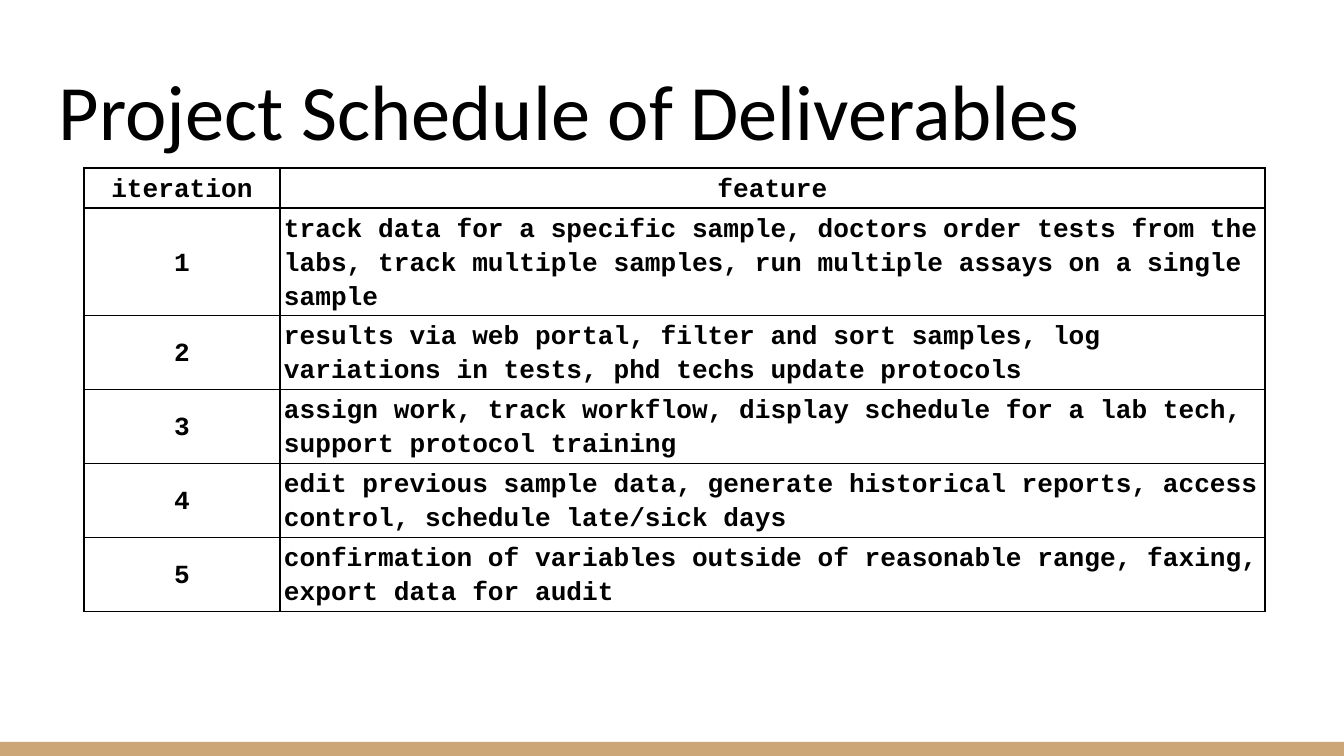
"""Build the project schedule slide with its table of iterations and features."""
from dataclasses import dataclass

from lxml import etree
from pptx import Presentation
from pptx.dml.color import RGBColor
from pptx.enum.shapes import MSO_SHAPE
from pptx.enum.text import MSO_ANCHOR, MSO_AUTO_SIZE, PP_ALIGN
from pptx.oxml.ns import qn
from pptx.util import Pt

RECTANGLE = MSO_SHAPE.RECTANGLE
MIDDLE, BOTTOM = MSO_ANCHOR.MIDDLE, MSO_ANCHOR.BOTTOM
LEFT, CENTER = PP_ALIGN.LEFT, PP_ALIGN.CENTER
NO_AUTOFIT = MSO_AUTO_SIZE.NONE

HEADING = "Project Schedule of Deliverables"
HEADERS = ("iteration", "feature")
FEATURES = [
    ("track data for a specific sample, doctors order tests from the labs, "
     "track multiple samples, run multiple assays on a single sample", 3),
    ("results via web portal, filter and sort samples, log variations in tests, "
     "phd techs update protocols", 2),
    ("assign work, track workflow, display schedule for a lab tech, "
     "support protocol training", 2),
    ("edit previous sample data, generate historical reports, access control, "
     "schedule late/sick days", 2),
    ("confirmation of variables outside of reasonable range, faxing, "
     "export data for audit", 2),
]

SLIDE_SIZE = (1344, 756)
HEADING_BOX = (46, 47, 1252, 122)
BAND_HEIGHT = 14
TABLE_CORNER = (84, 168)
COLUMN_WIDTHS = (196, 985)
LINE_HEIGHT, ROW_PADDING = 34, 5
HEADING_INSET = 13
CELL_MARGINS = {"margin_left": 4, "margin_right": 4, "margin_top": 3, "margin_bottom": 3}


@dataclass(frozen=True)
class Theme:
    ink: str = "000000"
    paper: str = "FFFFFF"
    band: str = "CCA677"
    heading_font: str = "Calibri"
    heading_size: int = 42
    table_font: str = "Courier New"
    table_size: int = 14
    line_spacing: float = 1.15
    border_width: float = 0.75


THEME = Theme()


def px(length):
    return round(length * 914400 / 134.4)


def set_attributes(target, values):
    for name, value in values.items():
        setattr(target, name, value)


def paint(fill, color):
    fill.solid()
    fill.fore_color.rgb = RGBColor.from_string(color)


def write(frame, text, alignment, font_values):
    paragraph = frame.paragraphs[0]
    paragraph.alignment = alignment
    run = paragraph.add_run()
    run.text = text
    set_attributes(run.font, font_values)
    run.font.color.rgb = RGBColor.from_string(THEME.ink)
    return paragraph


def add_borders(cell):
    properties = cell._tc.get_or_add_tcPr()
    for side in ("a:lnL", "a:lnR", "a:lnT", "a:lnB"):
        line = etree.SubElement(properties, qn(side), w=str(Pt(THEME.border_width)))
        solid = etree.SubElement(line, qn("a:solidFill"))
        etree.SubElement(solid, qn("a:srgbClr"), val=THEME.ink)


def add_band(slide):
    width, height = SLIDE_SIZE
    box = (0, height - BAND_HEIGHT, width, BAND_HEIGHT)
    band = slide.shapes.add_shape(RECTANGLE, *map(px, box))
    band.shadow.inherit = False
    paint(band.fill, THEME.band)
    band.line.fill.background()


def add_heading(slide):
    heading = slide.shapes.title
    set_attributes(heading, dict(zip(("left", "top", "width", "height"), map(px, HEADING_BOX))))
    frame = heading.text_frame
    set_attributes(frame, {"auto_size": NO_AUTOFIT, "word_wrap": True,
                           "vertical_anchor": BOTTOM})
    set_attributes(frame, {name: px(HEADING_INSET) for name in CELL_MARGINS})
    write(frame, HEADING, LEFT,
          {"name": THEME.heading_font, "size": Pt(THEME.heading_size)})


def add_schedule(slide):
    rows = [(*HEADERS, 1)]
    rows += [(str(number), *feature) for number, feature in enumerate(FEATURES, 1)]
    heights = [LINE_HEIGHT * lines + ROW_PADDING for *_, lines in rows]
    box = (*TABLE_CORNER, sum(COLUMN_WIDTHS), sum(heights))
    schedule = slide.shapes.add_table(len(rows), len(HEADERS), *map(px, box)).table
    set_attributes(schedule, {"first_row": False, "horz_banding": False})
    for column, width in zip(schedule.columns, COLUMN_WIDTHS):
        column.width = px(width)
    font_values = {"name": THEME.table_font, "size": Pt(THEME.table_size), "bold": True}
    for r, (*texts, _) in enumerate(rows):
        schedule.rows[r].height = px(heights[r])
        for c, text in enumerate(texts):
            cell = schedule.cell(r, c)
            set_attributes(cell, {name: px(inset) for name, inset in CELL_MARGINS.items()})
            cell.vertical_anchor = BOTTOM if c else MIDDLE
            add_borders(cell)
            paint(cell.fill, THEME.paper)
            alignment = LEFT if r and c else CENTER
            paragraph = write(cell.text_frame, text, alignment, font_values)
            paragraph.line_spacing = THEME.line_spacing


def main():
    deck = Presentation()
    deck.slide_width, deck.slide_height = map(px, SLIDE_SIZE)
    slide = deck.slides.add_slide(deck.slide_layouts[5])
    paint(slide.background.fill, THEME.paper)
    add_band(slide)
    add_heading(slide)
    add_schedule(slide)
    deck.save("out.pptx")


if __name__ == "__main__":
    main()
